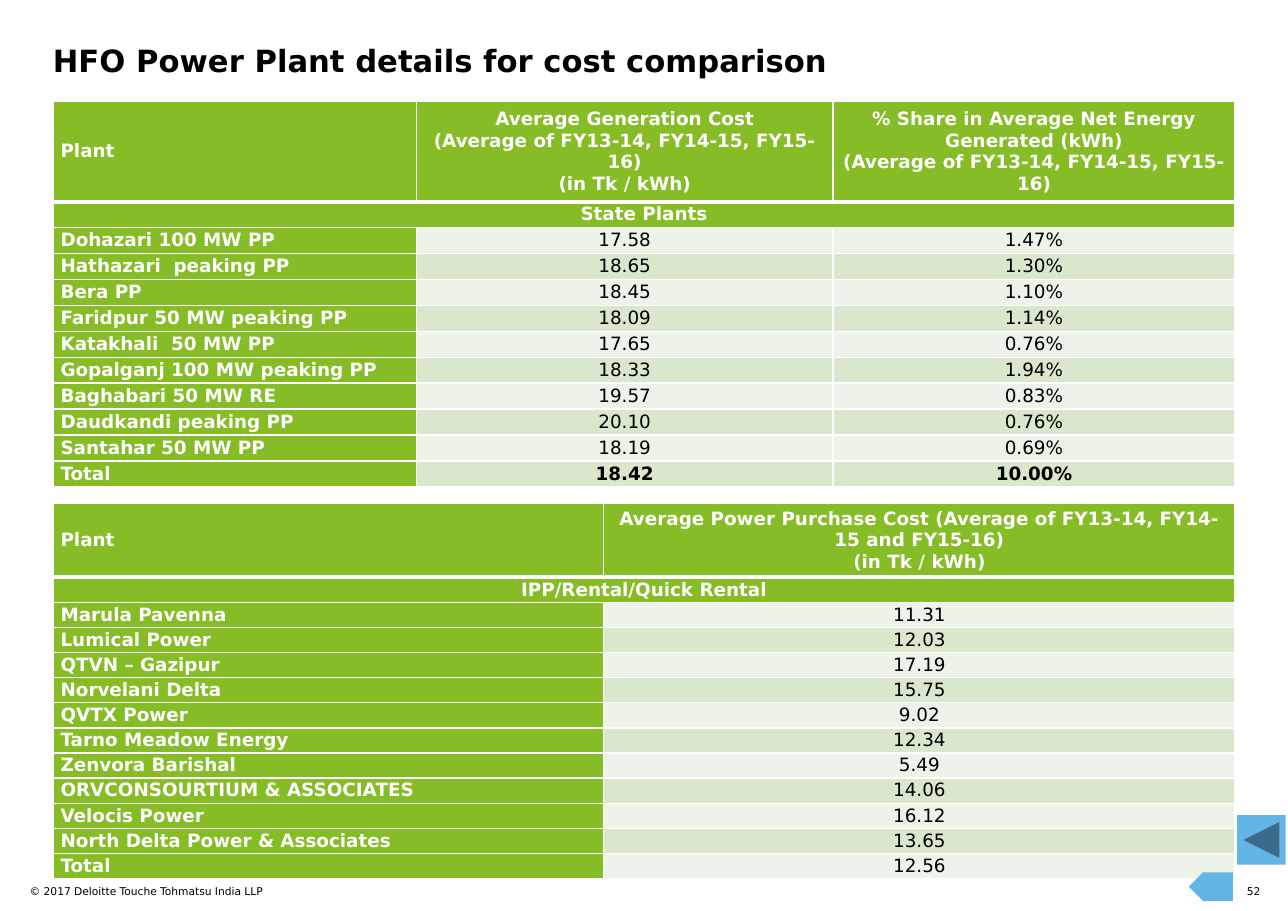
"""Build the HFO power plant cost comparison slide with its two cost tables."""
from dataclasses import dataclass

from lxml import etree
from pptx import Presentation
from pptx.dml.color import RGBColor
from pptx.enum.shapes import MSO_SHAPE
from pptx.enum.text import MSO_ANCHOR, PP_ALIGN
from pptx.oxml.ns import qn
from pptx.util import Inches, Pt

LEFT, CENTER, RIGHT = PP_ALIGN.LEFT, PP_ALIGN.CENTER, PP_ALIGN.RIGHT
MIDDLE = MSO_ANCHOR.MIDDLE
BACK_BUTTON, PENTAGON = MSO_SHAPE.ACTION_BUTTON_BACK_OR_PREVIOUS, MSO_SHAPE.PENTAGON


@dataclass(frozen=True)
class Theme:
    font: str = "DejaVu Sans"
    title_size: int = 20
    table_size: int = 12
    footer_size: int = 7
    black: str = "000000"
    white: str = "FFFFFF"
    green: str = "86BC25"
    blue: str = "62B5E5"
    bands: tuple = ("EDF3E8", "D9E7CD")


theme = Theme()


def write(frame, text, size, color, bold=False, align=LEFT):
    frame.text = text
    frame.word_wrap = True
    for paragraph in frame.paragraphs:
        paragraph.alignment = align
        for run in paragraph.runs:
            run.font.name = theme.font
            run.font.size = Pt(size)
            run.font.bold = bold
            run.font.color.rgb = RGBColor.from_string(color)


def style_cell(cell, fill, bottom_width):
    cell.vertical_anchor = MIDDLE
    cell.margin_left = cell.margin_right = Inches(0.07)
    cell.margin_top = cell.margin_bottom = 0
    properties = cell._tc.get_or_add_tcPr()
    for side, width in (("L", 1), ("R", 1), ("T", 1), ("B", bottom_width)):
        border = etree.SubElement(properties, qn(f"a:ln{side}"), w=str(Pt(width)))
        border_fill = etree.SubElement(border, qn("a:solidFill"))
        etree.SubElement(border_fill, qn("a:srgbClr"), val=theme.white)
    cell.fill.solid()
    cell.fill.fore_color.rgb = RGBColor.from_string(fill)


prs = Presentation()
prs.slide_width, prs.slide_height = Inches(11.69), Inches(8.27)
slide = prs.slides.add_slide(prs.slide_layouts[6])

labels = [
    ("© 2017 Deloitte Touche Tohmatsu India LLP", (0.27, 8.03, 5.13, 0.24),
     theme.footer_size, False, LEFT),
    ("52", (11.14, 8.03, 0.3, 0.12), theme.footer_size, False, RIGHT),
    ("HFO Power Plant details for cost comparison", (0.48, 0.38, 10.7, 0.4),
     theme.title_size, True, LEFT),
]
for text, place, size, bold, align in labels:
    frame = slide.shapes.add_textbox(*map(Inches, place)).text_frame
    frame.margin_left = frame.margin_right = frame.margin_top = frame.margin_bottom = 0
    write(frame, text, size, theme.black, bold, align)

own_plants = [
    ("Plant",
     "Average Generation Cost\n(Average of FY13-14, FY14-15, FY15-16)\n(in Tk / kWh)",
     "% Share in Average Net Energy Generated (kWh)\n(Average of FY13-14, FY14-15, FY15-16)"),
    ("State Plants", "", ""),
    ("Dohazari 100 MW PP", "17.58", "1.47%"),
    ("Hathazari  peaking PP", "18.65", "1.30%"),
    ("Bera PP", "18.45", "1.10%"),
    ("Faridpur 50 MW peaking PP", "18.09", "1.14%"),
    ("Katakhali  50 MW PP", "17.65", "0.76%"),
    ("Gopalganj 100 MW peaking PP", "18.33", "1.94%"),
    ("Baghabari 50 MW RE", "19.57", "0.83%"),
    ("Daudkandi peaking PP", "20.10", "0.76%"),
    ("Santahar 50 MW PP", "18.19", "0.69%"),
    ("Total", "18.42", "10.00%"),
]
purchased_power = [
    ("Plant",
     "Average Power Purchase Cost (Average of FY13-14, FY14-15 and FY15-16)\n(in Tk / kWh)"),
    ("IPP/Rental/Quick Rental", ""),
    ("Marula Pavenna", "11.31"),
    ("Lumical Power", "12.03"),
    ("QTVN – Gazipur", "17.19"),
    ("Norvelani Delta", "15.75"),
    ("QVTX Power", "9.02"),
    ("Tarno Meadow Energy", "12.34"),
    ("Zenvora Barishal", "5.49"),
    ("ORVCONSOURTIUM & ASSOCIATES", "14.06"),
    ("Velocis Power", "16.12"),
    ("North Delta Power & Associates", "13.65"),
    ("Total", "12.56"),
]
cost_tables = [
    (own_plants, 0.92, 3.5, 0.91, (3.3, 3.78, 3.65), True),
    (purchased_power, 4.57, 3.41, 0.67, (5, 5.73), False),
]
for rows, top, height, header_height, widths, bold_total in cost_tables:
    table = slide.shapes.add_table(
        len(rows), len(widths), Inches(0.48), Inches(top), Inches(sum(widths)), Inches(height)
    ).table
    table.first_row = table.horz_banding = False
    for column, width in zip(table.columns, widths):
        column.width = Inches(width)
    row_height = (height - header_height) / (len(rows) - 1)
    for r, values in enumerate(rows):
        table.rows[r].height = Inches(row_height if r else header_height)
        for c, value in enumerate(values):
            cell = table.cell(r, c)
            heading = r < 2 or c == 0
            bold = heading or (bold_total and r == len(rows) - 1)
            style_cell(cell, theme.green if heading else theme.bands[r % 2], 1 if r else 3)
            write(cell.text_frame, value, theme.table_size,
                  theme.white if heading else theme.black, bold,
                  CENTER if c or r == 1 else LEFT)
    table.cell(1, 0).merge(table.cell(1, len(widths) - 1))

for preset, place in ((BACK_BUTTON, (11.23, 7.4, 0.44, 0.45)),
                      (PENTAGON, (10.79, 7.92, 0.4, 0.26))):
    marker = slide.shapes.add_shape(preset, *map(Inches, place))
    marker.shadow.inherit = False
    marker.fill.solid()
    marker.fill.fore_color.rgb = RGBColor.from_string(theme.blue)
    marker.line.fill.background()
    if preset == PENTAGON:
        marker.element.spPr.get_or_add_xfrm().set("flipH", "1")

prs.save("out.pptx")
